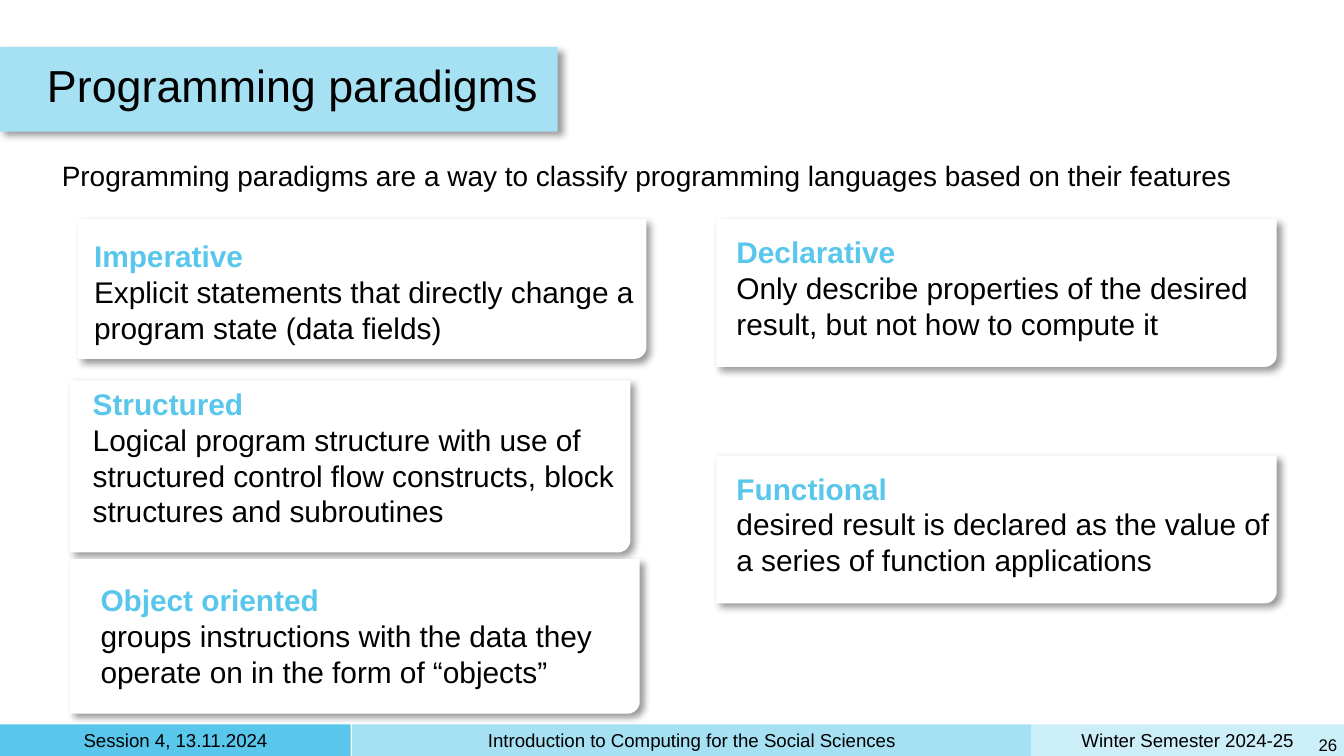
from dataclasses import dataclass
from math import cos, pi, sin
from typing import NamedTuple

from lxml import etree
from pptx import Presentation
from pptx import util as u
from pptx.dml.color import RGBColor
from pptx.enum import shapes, text
from pptx.oxml import ns

BLACK = RGBColor(0x00, 0x00, 0x00)
WHITE = RGBColor(0xFF, 0xFF, 0xFF)
SKY = RGBColor(0x59, 0xC7, 0xEB)
LIGHT = RGBColor(0xA5, 0xE0, 0xF3)
PALE = RGBColor(0xCC, 0xEE, 0xF9)
SLIDE_WIDTH = 10
SLIDE_HEIGHT = SLIDE_WIDTH * 9 / 16
CORNER = 0.09
BODY_SIZE = 16


class Box(NamedTuple):
    left: float
    top: float
    width: float
    height: float

    def lengths(self) -> list:
        return [u.Inches(side) for side in self]


@dataclass
class FooterBar:
    label: str
    left: float
    width: float
    color: RGBColor


@dataclass
class Paradigm:
    name: str
    summary: str
    card: Box
    words: Box
    inset: float = 0.05
    grows: bool = True
    split: bool = False


FOOTER = [
    FooterBar("Winter Semester 2024-25", 7.67, 2.33, PALE),
    FooterBar("Session 4, 13.11.2024", 0, 2.61, SKY),
    FooterBar("Introduction to Computing for the Social Sciences", 2.62, 5.05, LIGHT),
]

PARADIGMS = [
    Paradigm("Imperative",
             "Explicit statements that directly change a program state (data fields)",
             Box(0.58, 1.63, 4.23, 1.04), Box(0.65, 1.72, 4.29, 1.1), grows=False),
    Paradigm("Declarative",
             "Only describe properties of the desired result, but not how to compute it",
             Box(5.33, 1.63, 4.17, 1.1), Box(5.43, 1.69, 4.17, 0.91)),
    Paradigm("Functional",
             "desired result is declared as the value of a series of function applications",
             Box(5.33, 3.39, 4.17, 1.1), Box(5.43, 3.45, 4.17, 0.91)),
    Paradigm("Structured",
             "Logical program structure with use of structured control flow constructs, "
             "block structures and subroutines",
             Box(0.52, 2.83, 4.17, 1.28), Box(0.64, 2.82, 4.17, 1.18)),
    Paradigm("Object oriented",
             "groups instructions with the data they operate on in the form of “objects”",
             Box(0.52, 4.16, 4.24, 1.15), Box(0.65, 4.23, 3.93, 1.01),
             inset=0.1, split=True),
]


def paint(shape, color: RGBColor) -> None:
    shape.shadow.inherit = False
    shape.fill.solid()
    shape.fill.fore_color.rgb = color
    shape.line.fill.background()


def cast_shadow(shape) -> None:
    effects = shape._element.spPr.find(ns.qn("a:effectLst"))
    shadow = etree.SubElement(
        effects, ns.qn("a:outerShdw"), blurRad=str(u.Pt(4)), dist=str(u.Pt(3)),
        dir=str(45 * 60000), algn="bl", rotWithShape="0")
    tint = etree.SubElement(shadow, ns.qn("a:srgbClr"), val=str(BLACK))
    etree.SubElement(tint, ns.qn("a:alpha"), val="40000")


def add_bar(slide, box: Box, color: RGBColor):
    bar = slide.shapes.add_shape(shapes.MSO_SHAPE.RECTANGLE, *box.lengths())
    paint(bar, color)
    return bar


def add_card(slide, box: Box) -> None:
    right, bottom = box.left + box.width, box.top + box.height
    angles = [step * pi / 24 for step in range(13)]
    arc = [(right - CORNER + CORNER * cos(angle), bottom - CORNER + CORNER * sin(angle))
           for angle in angles]
    outline = [(right, box.top), *arc, (box.left, bottom)]
    builder = slide.shapes.build_freeform(
        u.Inches(box.left), u.Inches(box.top), scale=1.0)
    builder.add_line_segments([(u.Inches(x), u.Inches(y)) for x, y in outline])
    card = builder.convert_to_shape()
    paint(card, WHITE)
    cast_shadow(card)


def add_frame(slide, box: Box, inset: float = 0.05, middle: bool = False,
              grows: bool = False):
    frame = slide.shapes.add_textbox(*box.lengths()).text_frame
    margin = u.Inches(inset)
    layout = {
        "word_wrap": True,
        "margin_left": margin,
        "margin_right": margin,
        "margin_top": margin,
        "margin_bottom": margin,
        "vertical_anchor": text.MSO_ANCHOR.MIDDLE if middle else text.MSO_ANCHOR.TOP,
        "auto_size": (text.MSO_AUTO_SIZE.SHAPE_TO_FIT_TEXT if grows
                      else text.MSO_AUTO_SIZE.NONE),
    }
    for key, value in layout.items():
        setattr(frame, key, value)
    return frame


def add_words(paragraph, words: str, size: float, color: RGBColor = BLACK,
              bold: bool = False) -> None:
    run = paragraph.add_run()
    run.text = words
    for key, value in {"name": "Arial", "size": u.Pt(size), "bold": bold}.items():
        setattr(run.font, key, value)
    run.font.color.rgb = color


def add_line(slide, box: Box, words: str, size: float,
             align=text.PP_ALIGN.LEFT, **layout):
    paragraph = add_frame(slide, box, **layout).paragraphs[0]
    paragraph.alignment = align
    add_words(paragraph, words, size)
    return paragraph


def add_footer_bar(slide, bar: FooterBar) -> None:
    add_bar(slide, Box(bar.left, 5.39, bar.width, SLIDE_HEIGHT - 5.39), bar.color)
    add_line(slide, Box(bar.left + 0.05, 5.41, bar.width - 0.1, 0.19), bar.label, 10,
             text.PP_ALIGN.CENTER, middle=True)


def add_paradigm(slide, paradigm: Paradigm) -> None:
    add_card(slide, paradigm.card)
    frame = add_frame(slide, paradigm.words, paradigm.inset, grows=paradigm.grows)
    paragraph = frame.paragraphs[0]
    add_words(paragraph, paradigm.name, BODY_SIZE, SKY, bold=True)
    if paradigm.split:
        paragraph = frame.add_paragraph()
    else:
        paragraph.add_line_break()
        line_break = paragraph._p.find(ns.qn("a:br"))
        etree.SubElement(line_break, ns.qn("a:rPr"), sz=str(BODY_SIZE * 100))
    add_words(paragraph, paradigm.summary, BODY_SIZE)


def main() -> None:
    deck = Presentation()
    deck.slide_width, deck.slide_height = u.Inches(SLIDE_WIDTH), u.Inches(SLIDE_HEIGHT)
    slide = deck.slides.add_slide(deck.slide_layouts[6])

    for bar in FOOTER:
        add_footer_bar(slide, bar)
    add_line(slide, Box(0.41, 1.13, 9.19, 0.35),
             "Programming paradigms are a way to classify programming languages "
             "based on their features", 15, grows=True)
    for paradigm in PARADIGMS:
        add_paradigm(slide, paradigm)

    cast_shadow(add_bar(slide, Box(0, 0.35, 4.15, 0.63), LIGHT))
    title = add_line(slide, Box(0.3, 0.35, 8.7, 0.63), "Programming paradigms", 24,
                     middle=True)
    title.line_spacing = 0.8
    add_line(slide, Box(9.76, 5.42, 0.24, 0.25), "26", 9, text.PP_ALIGN.RIGHT,
             middle=True, grows=True)

    deck.save("out.pptx")


if __name__ == "__main__":
    main()
